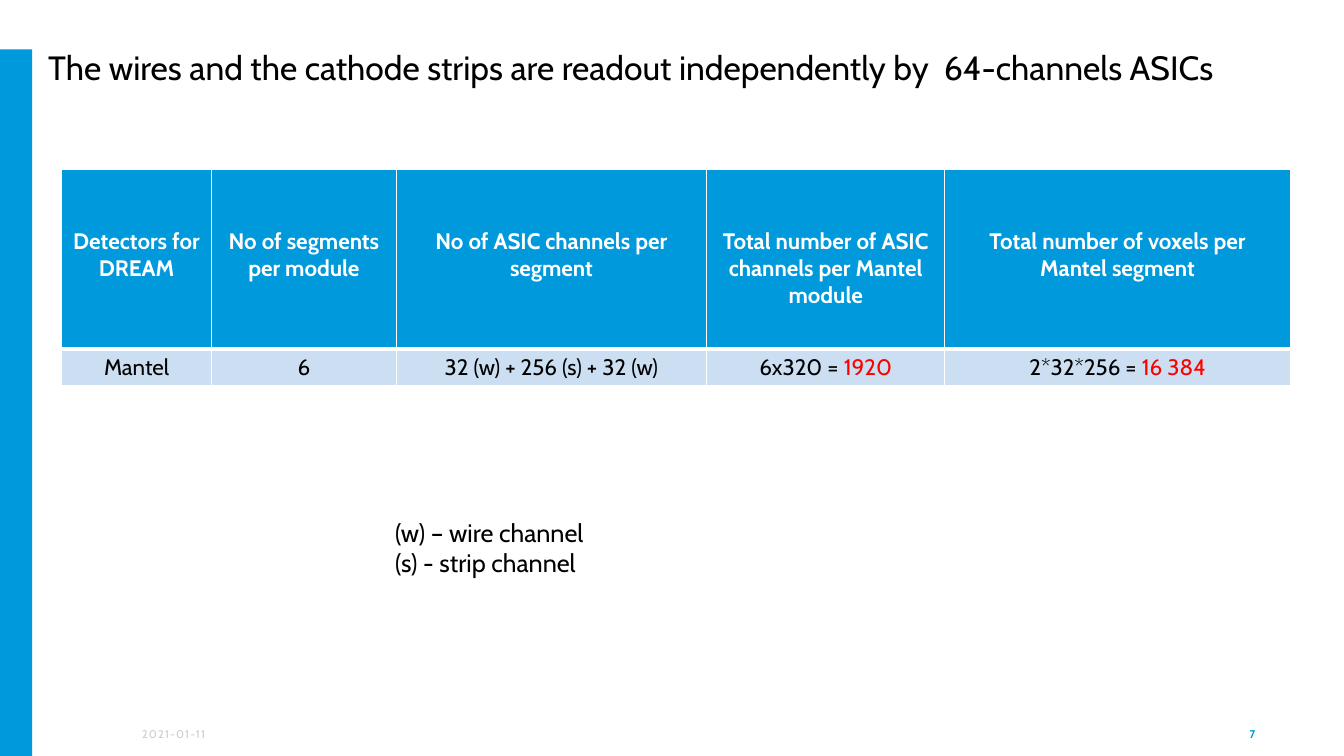
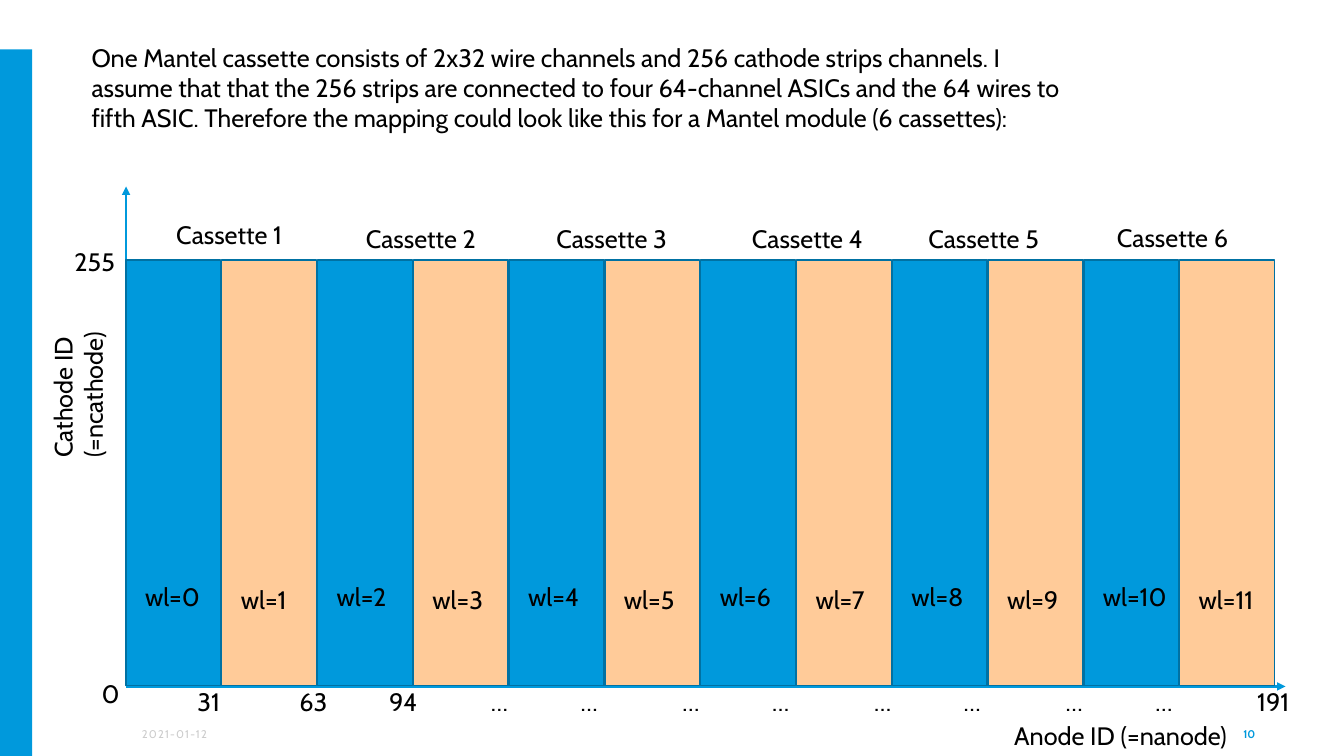
from dataclasses import dataclass

from lxml.etree import SubElement
from pptx import Presentation
from pptx.dml.color import RGBColor
from pptx.enum.shapes import MSO_CONNECTOR, MSO_SHAPE
from pptx.enum.text import MSO_ANCHOR, MSO_AUTO_SIZE, PP_ALIGN
from pptx.oxml.ns import qn
from pptx.util import Inches, Pt


@dataclass(frozen=True)
class Theme:
    font: str = "Cabin"
    blue: str = "0099DC"
    dark_blue: str = "0071A3"
    peach: str = "FFCB99"
    pale_blue: str = "CCDEF2"
    red: str = "FF0000"
    black: str = "000000"
    white: str = "FFFFFF"
    grey: str = "CCCCCC"
    title: int = 24
    body: int = 18
    table: int = 16
    footer: int = 8


THEME = Theme()

# Content: channel table
READOUT_TITLE = "The wires and the cathode strips are readout independently by  64-channels ASICs"
CHANNEL_HEADINGS = [
    "Detectors for DREAM",
    "No of segments per module",
    "No of ASIC channels per segment",
    "Total number of ASIC channels per Mantel module",
    "Total number of voxels per Mantel segment",
]
MANTEL_ROW = [
    "Mantel",
    "6",
    "32 (w) + 256 (s) + 32 (w)",
    [("6x320 = ", THEME.black), ("1920", THEME.red)],
    [("2*32*256 = ", THEME.black), ("16 384", THEME.red)],
]
COLUMN_WIDTHS = [1.49, 1.83, 3.08, 2.36, 3.43]
ROW_HEIGHTS = [1.78, 0.37]
CHANNEL_KEY = ["(w) – wire channel", "(s) - strip channel"]

# Content: cassette map
MAPPING_INTRO = (
    "One Mantel cassette consists of 2x32 wire channels and 256 cathode strips channels. "
    "I assume that that the 256 strips are connected to four 64-channel ASICs and the 64 wires "
    "to fifth ASIC. Therefore the mapping could look like this for a Mantel module (6 cassettes):"
)
# Name, left and top of the name, anode ticks of the two halves
CASSETTES = [
    ("Cassette 1", 1.65, 2.13, ("31", "63")),
    ("Cassette 2", 3.53, 2.17, ("94", "…")),
    ("Cassette 3", 5.42, 2.17, ("…", "…")),
    ("Cassette 4", 7.36, 2.17, ("…", "…")),
    ("Cassette 5", 9.11, 2.17, ("…", "…")),
    ("Cassette 6", 10.98, 2.16, ("…", "191")),
]
# Text, left, top, width, height, rotation
AXIS_LABELS = [
    ("Cathode ID (=ncathode)", -0.03, 3.48, 1.61, 0.71, 270),
    ("Anode ID (=nanode)", 9.96, 7.1, 3.65, 0.4, 0),
    ("0", 0.91, 6.68, 0.82, 0.4, 0),
    ("255", 0.64, 2.39, 0.82, 0.4, 0),
]
ORIGIN_X, ORIGIN_Y = 1.25, 6.81
AXIS_TOP, AXIS_RIGHT = 1.85, 12.75
CASSETTE_PITCH = 1.9
HALF_PITCH = CASSETTE_PITCH / 2
HALF_WIDTH, HALF_TOP, HALF_HEIGHT = 0.94, 2.58, 4.22


def rgb(value):
    return RGBColor.from_string(value)


def write_text(frame, paragraphs, size=THEME.body, color=THEME.black, bold=False,
               align=PP_ALIGN.LEFT, spacing=None):
    """Write paragraphs; each is a string or a list of (text, colour) runs."""
    for index, content in enumerate(paragraphs):
        paragraph = frame.paragraphs[0] if index == 0 else frame.add_paragraph()
        paragraph.alignment = align
        runs = [(content, color)] if isinstance(content, str) else content
        for text, run_color in runs:
            run = paragraph.add_run()
            run.text = text
            run.font.name = THEME.font
            run.font.size = Pt(size)
            run.font.bold = bold
            run.font.color.rgb = rgb(run_color)
            if spacing:
                run.font._element.set("spc", str(round(spacing * 100)))


def add_text(shapes, paragraphs, left, top, width, height=0.4, rotation=0,
             anchor=MSO_ANCHOR.TOP, grow=True, **style):
    box = shapes.add_textbox(Inches(left), Inches(top), Inches(width), Inches(height))
    box.rotation = rotation
    frame = box.text_frame
    frame.word_wrap = True
    frame.vertical_anchor = anchor
    frame.auto_size = MSO_AUTO_SIZE.SHAPE_TO_FIT_TEXT if grow else MSO_AUTO_SIZE.NONE
    write_text(frame, paragraphs, **style)


def add_box(shapes, left, top, width, height, fill, line=None):
    box = shapes.add_shape(MSO_SHAPE.RECTANGLE, Inches(left), Inches(top),
                           Inches(width), Inches(height))
    box.shadow.inherit = False
    box.fill.solid()
    box.fill.fore_color.rgb = rgb(fill)
    if line:
        box.line.color.rgb = rgb(line)
        box.line.width = Pt(1)
    else:
        box.line.fill.background()
    return box


def add_axis(shapes, end_x, end_y):
    axis = shapes.add_connector(MSO_CONNECTOR.STRAIGHT, Inches(ORIGIN_X), Inches(ORIGIN_Y),
                                Inches(end_x), Inches(end_y))
    axis.line.color.rgb = rgb(THEME.blue)
    axis.line.width = Pt(2)
    SubElement(axis.line._get_or_add_ln(), qn("a:tailEnd"), type="triangle")
    SubElement(axis._element.spPr, qn("a:effectLst"))


def set_borders(cell, **widths):
    properties = cell._tc.get_or_add_tcPr()
    for side in ("L", "R", "T", "B"):
        border = SubElement(properties, qn(f"a:ln{side}"), w=str(Pt(widths.get(side, 1))))
        fill = SubElement(border, qn("a:solidFill"))
        SubElement(fill, qn("a:srgbClr"), val=THEME.white)


def add_slide(prs, date, number):
    """Blank slide with the shared footer."""
    shapes = prs.slides.add_slide(prs.slide_layouts[6]).shapes
    footer = dict(anchor=MSO_ANCHOR.MIDDLE, grow=False, size=THEME.footer)
    add_text(shapes, [date], 1.31, 7.08, 0.91, color=THEME.grey, spacing=0.8, **footer)
    add_text(shapes, [number], 9.55, 7.08, 3, color=THEME.blue, bold=True,
             align=PP_ALIGN.RIGHT, **footer)
    return shapes


def add_master_band(prs, shapes):
    """Draw the side band and move it to the master, so every slide shows it."""
    band = add_box(shapes, 0, 0.49, 0.32, 7.01, THEME.blue)
    prs.slide_master.shapes.element.append(band.element)


def add_channel_table(shapes):
    table = shapes.add_table(2, len(COLUMN_WIDTHS), Inches(0.61), Inches(1.68),
                             Inches(sum(COLUMN_WIDTHS)), Inches(sum(ROW_HEIGHTS))).table
    table.horz_banding = False
    for column, width in zip(table.columns, COLUMN_WIDTHS):
        column.width = Inches(width)
    for row, height in zip(table.rows, ROW_HEIGHTS):
        row.height = Inches(height)
    # Fill, divider width, text colour, bold and top margin of each row
    row_styles = [
        (CHANNEL_HEADINGS, THEME.blue, {"B": 3}, THEME.white, True, 0.58),
        (MANTEL_ROW, THEME.pale_blue, {"T": 3}, THEME.black, False, 0.05),
    ]
    for row, (contents, fill, divider, color, bold, margin) in zip(table.rows, row_styles):
        for cell, content in zip(row.cells, contents):
            set_borders(cell, **divider)
            cell.fill.solid()
            cell.fill.fore_color.rgb = rgb(fill)
            cell.margin_top = Inches(margin)
            write_text(cell.text_frame, [content], size=THEME.table, color=color, bold=bold,
                       align=PP_ALIGN.CENTER)


def add_cassette(shapes, index, ticks):
    """Two halves of one cassette, each with its wl label and anode tick."""
    group = shapes.add_group_shape().shapes
    left = ORIGIN_X + index * CASSETTE_PITCH
    lefts = [left, left + HALF_PITCH]
    for half_left, fill in zip(lefts, (THEME.blue, THEME.peach)):
        add_box(group, half_left, HALF_TOP, HALF_WIDTH, HALF_HEIGHT, fill, THEME.dark_blue)
    for half, (half_left, tick) in enumerate(zip(lefts, ticks)):
        add_text(group, [f"wl={2 * index + half}"], half_left + 0.09, 5.72 + 0.03 * half, 0.99)
        add_text(group, [tick], left + 0.61 + 1.01 * half, 6.76, 0.82)


def build_readout_slide(prs):
    shapes = add_slide(prs, "2021-01-11", "7")
    add_master_band(prs, shapes)
    add_text(shapes, [READOUT_TITLE], 0.38, 0.42, 12.18, 0.5, size=THEME.title)
    add_channel_table(shapes)
    add_text(shapes, CHANNEL_KEY, 3.82, 5.08, 2.34, 0.71)


def build_mapping_slide(prs):
    shapes = add_slide(prs, "2021-01-12", "10")
    add_text(shapes, [MAPPING_INTRO], 0.81, 0.37, 9.87, 1.01)
    add_axis(shapes, ORIGIN_X, AXIS_TOP)
    add_axis(shapes, AXIS_RIGHT, ORIGIN_Y)
    for label, *place in AXIS_LABELS:
        add_text(shapes, [label], *place)
    for index, (name, name_left, name_top, ticks) in enumerate(CASSETTES):
        add_cassette(shapes, index, ticks)
        add_text(shapes, [name], name_left, name_top, 2.07)


def main():
    prs = Presentation()
    prs.slide_width, prs.slide_height = Inches(13.33), Inches(7.5)
    build_readout_slide(prs)
    build_mapping_slide(prs)
    prs.save("out.pptx")


if __name__ == "__main__":
    main()
